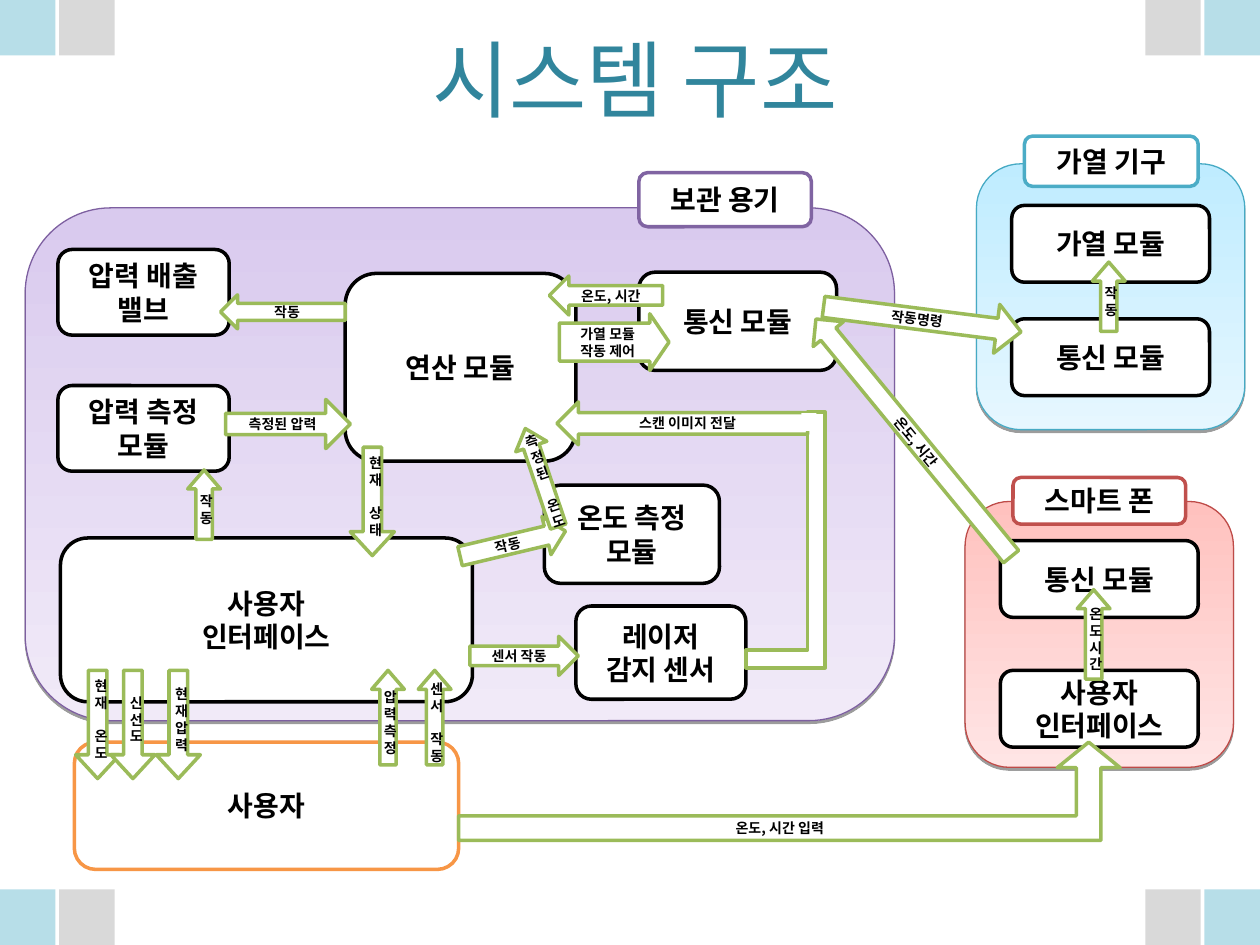
from dataclasses import dataclass

from lxml import etree
from pptx import Presentation
from pptx import util as u
from pptx.dml.color import RGBColor
from pptx.enum import shapes, text
from pptx.oxml import ns

KIND = shapes.MSO_SHAPE


@dataclass(frozen=True)
class Theme:
    font: str = "Noto Sans CJK KR"
    title_size: int = 48
    box_size: int = 16
    arrow_size: int = 8
    title: str = "31859C"
    ink: str = "000000"
    white: str = "FFFFFF"
    arrow: str = "9BBB59"
    corner_outer: str = "B7DEE8"
    corner_inner: str = "D9D9D9"
    user: str = "F79646"
    container: str = "8064A2"
    heater: str = "4BACC6"
    phone: str = "C0504D"
    line: float = 2
    panel_line: float = 0.75


T = Theme()

# left, top, width, height, gradient start, gradient end, outline
PANELS = [
    (7.75, 1.3, 2.13, 2.11, "BFECFF", "E6F7FF", "46AAC4"),
    (0.2, 1.65, 6.9, 4.07, "D9CAEE", "F1EAF8", "7D5FA0"),
    (7.66, 3.98, 2.13, 2.11, "FFC1BE", "FFE5E5", "BE4B48"),
]

# label, left, top, width, height, outline
BOXES = [
    ("레이저\n감지 센서", 4.57, 4.81, 1.35, 0.74, T.ink),
    ("스마트 폰", 8.04, 3.79, 1.37, 0.37, T.phone),
    ("사용자", 0.59, 5.89, 3.05, 1.01, T.user),
    ("보관 용기", 5.07, 1.37, 1.37, 0.43, T.container),
    ("사용자\n인터페이스", 0.48, 4.27, 3.27, 1.3, T.ink),
    ("통신 모듈", 7.94, 4.29, 1.57, 0.61, T.ink),
    ("가열 기구", 8.13, 1.08, 1.38, 0.4, T.heater),
    ("통신 모듈", 5.07, 2.16, 1.57, 0.78, T.ink),
    ("사용자\n인터페이스", 7.94, 5.32, 1.57, 0.61, T.ink),
    ("연산 모듈", 2.74, 2.17, 1.83, 1.49, T.ink),
    ("통신 모듈", 8.03, 2.53, 1.57, 0.61, T.ink),
    ("가열 모듈", 8.03, 1.63, 1.57, 0.61, T.ink),
    ("압력 측정 모듈", 0.46, 3.06, 1.36, 0.68, T.ink),
    ("압력 배출 밸브", 0.46, 1.98, 1.36, 0.68, T.ink),
    ("온도 측정\n모듈", 4.32, 3.85, 1.39, 0.78, T.ink),
]

UP, DOWN = KIND.UP_ARROW, KIND.DOWN_ARROW
LEFT, RIGHT, BENT = KIND.LEFT_ARROW, KIND.RIGHT_ARROW, KIND.BENT_UP_ARROW
ARROW_ADJ = {UP: (0.5, 0.58), DOWN: (0.42, 0.54), LEFT: (0.5, 0.5), RIGHT: (0.5, 0.5)}

# kind, label, left, top, width, height, then optional rotation and adjustments
ARROWS = [
    (DOWN, "현재 온도", 0.6, 5.32, 0.35, 0.86),
    (BENT, "온도, 시간 입력", 3.64, 5.89, 5.25, 0.78, 0, (0.25, 0.32, 0.26)),
    (DOWN, "신선도", 0.88, 5.32, 0.35, 0.86),
    (UP, "센서 작동", 3.32, 5.32, 0.26, 0.75),
    (UP, "온도시간", 8.55, 4.68, 0.26, 0.71),
    (RIGHT, "센서 작동", 3.73, 5.05, 0.86, 0.31),
    (UP, "압력측정", 2.95, 5.32, 0.26, 0.75),
    (UP, "작동", 1.49, 3.73, 0.26, 0.55),
    (RIGHT, "측정된 압력", 1.79, 3.17, 0.99, 0.39, 0, (0.43, 0.5)),
    (LEFT, "작동", 1.75, 2.34, 0.99, 0.27),
    (DOWN, "현재 상태", 2.78, 3.55, 0.35, 0.86),
    (LEFT, "온도, 시간", 6.03, 3.32, 2.44, 0.31, 50.6),
    (LEFT, "온도, 시간", 4.36, 2.19, 0.9, 0.31),
    (RIGHT, "작동", 3.64, 4.16, 0.86, 0.31, -13.4),
    (UP, "측정된 온도", 4.17, 3.38, 0.26, 0.82, -18.6),
    (RIGHT, "가열 모듈 작동 제어", 4.44, 2.49, 0.87, 0.45, 0, (0.67, 0.34)),
    (RIGHT, "작동명령", 6.53, 2.34, 1.58, 0.39, 7.2, (0.43, 0.5)),
    (UP, "작동", 8.67, 2.08, 0.26, 0.55),
    (BENT, "", 5.92, 3.27, 0.56, 2.03, 0, (0.25, 0, 0)),
    (LEFT, "스캔 이미지 전달", 4.42, 3.19, 1.99, 0.34),
]
PRESSURE_ARROW = (DOWN, "현재압력", 1.24, 5.32, 0.35, 0.86)


def rgb(value):
    return RGBColor.from_string(value)


def write(sp, label, size, color, bold=True):
    tf = sp.text_frame
    tf.word_wrap = True
    tf.text = label
    for p in tf.paragraphs:
        p.alignment = text.PP_ALIGN.CENTER
        p.font.size = u.Pt(size)
        p.font.bold = bold
        p.font.color.rgb = rgb(color)
        p.font.name = T.font
        # Korean text takes the East Asian typeface
        ea = etree.SubElement(p._p.pPr.find(ns.qn("a:defRPr")), ns.qn("a:ea"))
        ea.set("typeface", T.font)
    return tf


def add_shape(s, kind, left, top, width, height, fill=None, line=None, weight=T.line):
    sp = s.shapes.add_shape(kind, *map(u.Inches, (left, top, width, height)))
    sp.shadow.inherit = False
    if fill:
        sp.fill.solid()
        sp.fill.fore_color.rgb = rgb(fill)
    if line:
        sp.line.color.rgb = rgb(line)
        sp.line.width = u.Pt(weight)
    else:
        sp.line.fill.background()
    return sp


def add_label(sp, label, size):
    if label:
        write(sp, label, size, T.ink).vertical_anchor = text.MSO_ANCHOR.MIDDLE


def add_corners(s):
    size, inner = 0.44, 0.47
    for top in (0, 7.5 - size):
        for offset, color in ((inner, T.corner_inner), (0, T.corner_outer)):
            for left in (offset, 10 - size - offset):
                add_shape(s, KIND.RECTANGLE, left, top, size, size, color)


def add_title(s, label):
    sp = s.shapes.add_textbox(*map(u.Inches, (1.85, 0.17, 6.38, 0.9)))
    tf = write(sp, label, T.title_size, T.title, bold=False)
    tf.auto_size = text.MSO_AUTO_SIZE.SHAPE_TO_FIT_TEXT


def add_panel(s, left, top, width, height, start, end, line):
    sp = add_shape(s, KIND.ROUNDED_RECTANGLE, left, top, width, height,
                   line=line, weight=T.panel_line)
    sp.fill.gradient()
    sp.fill.gradient_angle = 270
    for stop, color, position in zip(sp.fill.gradient_stops, (start, end), (0, 1)):
        stop.color.rgb = rgb(color)
        stop.position = position
    # Soft shadow straight below
    effects = sp._element.spPr.find(ns.qn("a:effectLst"))
    shadow = etree.SubElement(effects, ns.qn("a:outerShdw"), blurRad="0",
                              dist=str(u.Pt(1.6)), dir="5400000", rotWithShape="0")
    color = etree.SubElement(shadow, ns.qn("a:srgbClr"), val=T.ink)
    etree.SubElement(color, ns.qn("a:alpha"), val="38000")


def add_box(s, label, left, top, width, height, line):
    sp = add_shape(s, KIND.ROUNDED_RECTANGLE, left, top, width, height, T.white, line)
    add_label(sp, label, T.box_size)


def add_arrow(s, kind, label, left, top, width, height, rotation=0, adj=None):
    sp = add_shape(s, kind, left, top, width, height, T.white, T.arrow)
    sp.rotation = rotation
    for i, value in enumerate(adj or ARROW_ADJ[kind]):
        sp.adjustments[i] = value
    add_label(sp, label, T.arrow_size)


def main():
    prs = Presentation()
    prs.slide_width, prs.slide_height = u.Inches(10), u.Inches(7.5)
    s = prs.slides.add_slide(prs.slide_layouts[6])

    # Frame and title
    add_corners(s)
    add_title(s, "시스템 구조")

    # Devices and their modules
    for panel in PANELS:
        add_panel(s, *panel)
    for box in BOXES:
        add_box(s, *box)

    # Data and command flows
    for arrow in ARROWS:
        add_arrow(s, *arrow)
    # Joins the scan arrow to its bent tail
    add_shape(s, KIND.RECTANGLE, 6.36, 3.28, 0.12, 0.14, T.white)
    add_arrow(s, *PRESSURE_ARROW)

    prs.save("out.pptx")


if __name__ == "__main__":
    main()
